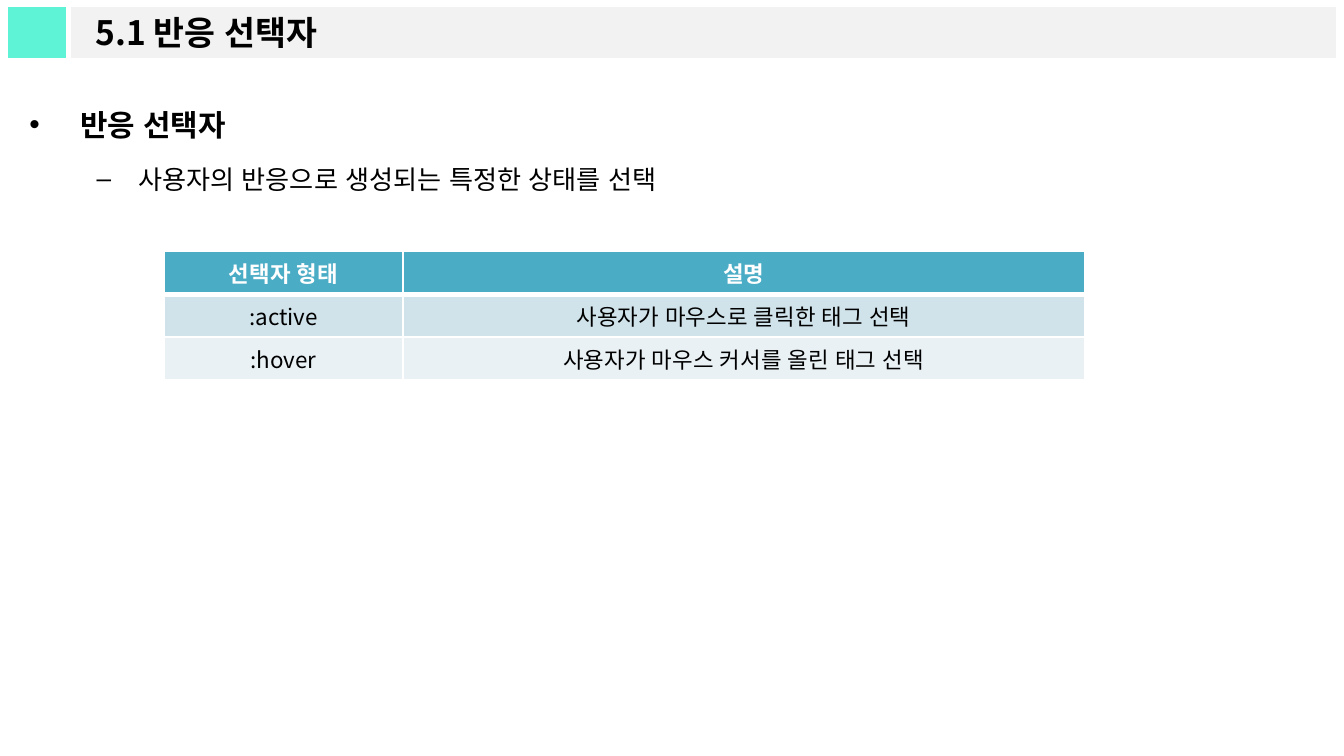
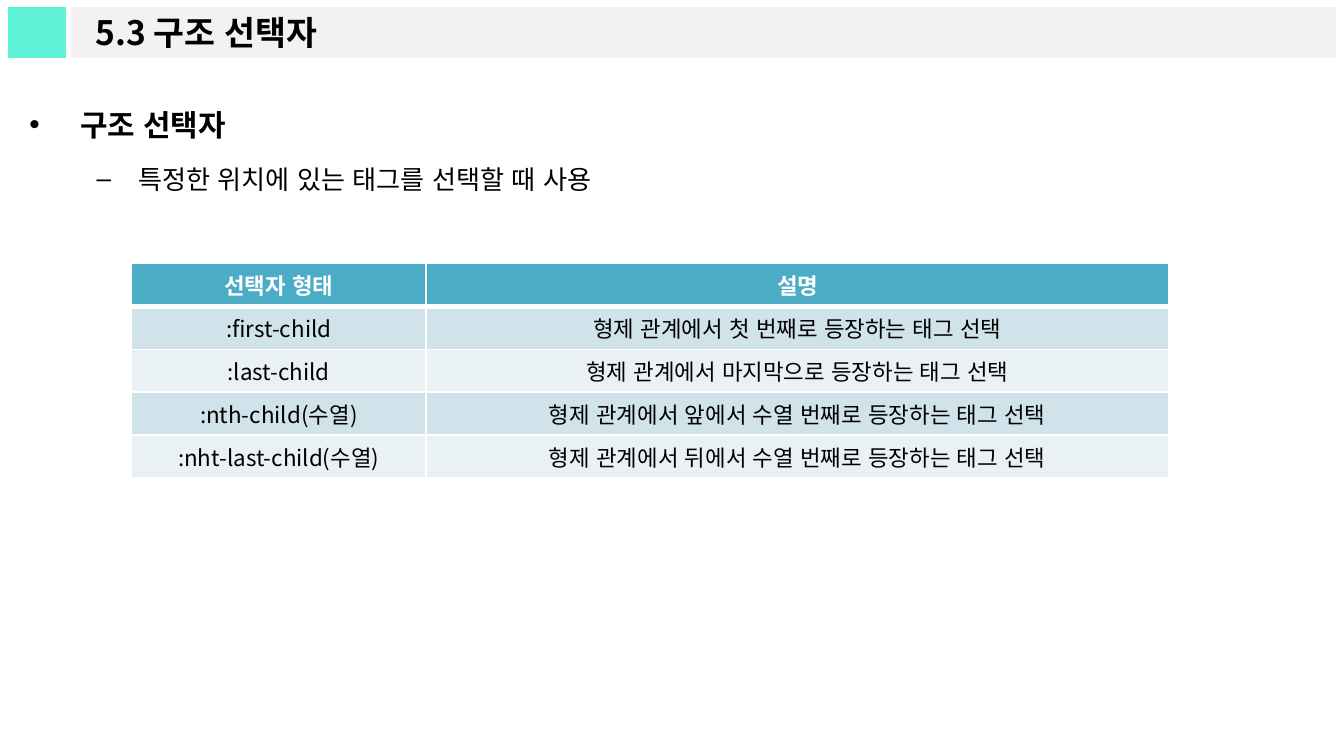
"""Build two slides on CSS response and structure selectors."""
from dataclasses import dataclass

from lxml.etree import SubElement
from pptx import Presentation
from pptx.dml.color import RGBColor
from pptx.enum.lang import MSO_LANGUAGE_ID
from pptx.enum.shapes import MSO_SHAPE
from pptx.enum.text import MSO_ANCHOR, MSO_AUTO_SIZE, PP_ALIGN
from pptx.oxml import parse_xml
from pptx.oxml.ns import nsdecls, qn
from pptx.util import Inches, Pt


@dataclass(frozen=True)
class Theme:
    font: str = "Noto Sans CJK KR"
    black: str = "000000"
    white: str = "FFFFFF"
    accent: str = "5EF2D7"
    band: str = "F2F2F2"
    header: str = "4BACC6"
    stripes: tuple = ("D0E3EA", "E9F1F5")
    title_size: int = 18
    heading_size: int = 16
    detail_size: int = 14
    table_size: int = 12


THEME = Theme()
SLIDE_WIDTH = 10
SLIDE_HEIGHT = SLIDE_WIDTH * 9 / 16
TABLE_HEADER = ("선택자 형태", "설명")
SLIDES = [
    {
        "title": "5.1 반응 선택자",
        "heading": "반응 선택자",
        "detail": "사용자의 반응으로 생성되는 특정한 상태를 선택",
        "table_at": (1.22, 1.87),
        "columns": (1.78, 5.07),
        "rows": [
            (":active", "사용자가 마우스로 클릭한 태그 선택"),
            (":hover", "사용자가 마우스 커서를 올린 태그 선택"),
        ],
    },
    {
        "title": "5.3 구조 선택자",
        "heading": "구조 선택자",
        "detail": "특정한 위치에 있는 태그를 선택할 때 사용",
        "table_at": (0.98, 1.96),
        "columns": (2.19, 5.53),
        "rows": [
            (":first-child", "형제 관계에서 첫 번째로 등장하는 태그 선택"),
            (":last-child", "형제 관계에서 마지막으로 등장하는 태그 선택"),
            (":nth-child(수열)", "형제 관계에서 앞에서 수열 번째로 등장하는 태그 선택"),
            (":nht-last-child(수열)", "형제 관계에서 뒤에서 수열 번째로 등장하는 태그 선택"),
        ],
    },
]
ACCENT_BOX = (0.04, 0.03, 0.47, 0.42)
TITLE_BOX = (0.51, 0.03, 9.45, 0.42)
BODY_BOX = (0.12, 0.61, 9.84, 4.84)
ROW_HEIGHT = 0.32


def set_format(target, **values):
    for name, value in values.items():
        setattr(target, name, value)


def place(shape, box):
    left, top, width, height = map(Inches, box)
    set_format(shape, left=left, top=top, width=width, height=height)


def paint(shape, color):
    shape.fill.solid()
    shape.fill.fore_color.rgb = RGBColor.from_string(color)
    shape.line.color.rgb = RGBColor.from_string(THEME.white)
    shape.line.width = Pt(3)


def write(paragraph, text, size, color=THEME.black, bold=False):
    run = paragraph.add_run()
    run.text = text
    set_format(
        run.font,
        name=THEME.font,
        size=Pt(size),
        bold=bold,
        language_id=MSO_LANGUAGE_ID.KOREAN,
    )
    run.font.color.rgb = RGBColor.from_string(color)
    SubElement(run.font._element, qn("a:ea"), typeface=THEME.font)


def add_header(slide, text):
    square = slide.shapes.add_shape(MSO_SHAPE.RECTANGLE, *map(Inches, ACCENT_BOX))
    square.shadow.inherit = False
    paint(square, THEME.accent)
    title = slide.shapes.title
    place(title, TITLE_BOX)
    paint(title, THEME.band)
    set_format(
        title.text_frame,
        auto_size=MSO_AUTO_SIZE.NONE,
        vertical_anchor=MSO_ANCHOR.MIDDLE,
        margin_left=Inches(0.2),
    )
    paragraph = title.text_frame.paragraphs[0]
    paragraph.alignment = PP_ALIGN.LEFT
    write(paragraph, text, THEME.title_size, bold=True)


def add_body(slide, heading, detail):
    frame = slide.shapes.add_textbox(*map(Inches, BODY_BOX)).text_frame
    frame.word_wrap = True
    levels = [
        (heading, THEME.heading_size, True, "•", 0.38, -0.38),
        (detail, THEME.detail_size, False, "–", 0.81, -0.31),
    ]
    for level, (text, size, bold, bullet, margin, indent) in enumerate(levels):
        paragraph = frame.add_paragraph() if level else frame.paragraphs[0]
        set_format(paragraph, level=level, line_spacing=1.5, space_before=Pt(size * 0.2))
        properties = paragraph._p.get_or_add_pPr()
        properties.set("marL", str(Inches(margin)))
        properties.set("indent", str(Inches(indent)))
        SubElement(properties, qn("a:buFont"), typeface="Arial")
        SubElement(properties, qn("a:buChar"), char=bullet)
        write(paragraph, text, size, bold=bold)


def set_borders(cell, widths):
    properties = cell._tc.get_or_add_tcPr()
    for index, (side, width) in enumerate(widths.items()):
        properties.insert(index, parse_xml(
            f'<a:ln{side} {nsdecls("a")} w="{Pt(width)}"><a:solidFill>'
            f'<a:srgbClr val="{THEME.white}"/></a:solidFill></a:ln{side}>'
        ))


def add_selector_table(slide, corner, columns, rows):
    cells = [TABLE_HEADER, *rows]
    box = (*corner, sum(columns), ROW_HEIGHT * len(cells))
    table = slide.shapes.add_table(len(cells), len(columns), *map(Inches, box)).table
    for column, width in zip(table.columns, columns):
        column.width = Inches(width)
    for row, texts in enumerate(cells):
        is_header = row == 0
        fill = THEME.header if is_header else THEME.stripes[(row - 1) % 2]
        color = THEME.white if is_header else THEME.black
        borders = {"L": 1, "R": 1, "T": 3 if row == 1 else 1, "B": 3 if is_header else 1}
        for column, text in enumerate(texts):
            cell = table.cell(row, column)
            set_format(
                cell,
                vertical_anchor=MSO_ANCHOR.MIDDLE,
                margin_left=Inches(0.1),
                margin_right=Inches(0.1),
                margin_top=Inches(0.04),
                margin_bottom=Inches(0.04),
            )
            cell.fill.solid()
            cell.fill.fore_color.rgb = RGBColor.from_string(fill)
            set_borders(cell, borders)
            paragraph = cell.text_frame.paragraphs[0]
            paragraph.alignment = PP_ALIGN.CENTER
            write(paragraph, text, THEME.table_size, color, is_header)


def main():
    presentation = Presentation()
    set_format(
        presentation,
        slide_width=Inches(SLIDE_WIDTH),
        slide_height=Inches(SLIDE_HEIGHT),
    )
    title_only = presentation.slide_layouts.get_by_name("Title Only")
    for content in SLIDES:
        slide = presentation.slides.add_slide(title_only)
        add_header(slide, content["title"])
        add_body(slide, content["heading"], content["detail"])
        add_selector_table(slide, content["table_at"], content["columns"], content["rows"])
    presentation.save("out.pptx")


if __name__ == "__main__":
    main()
